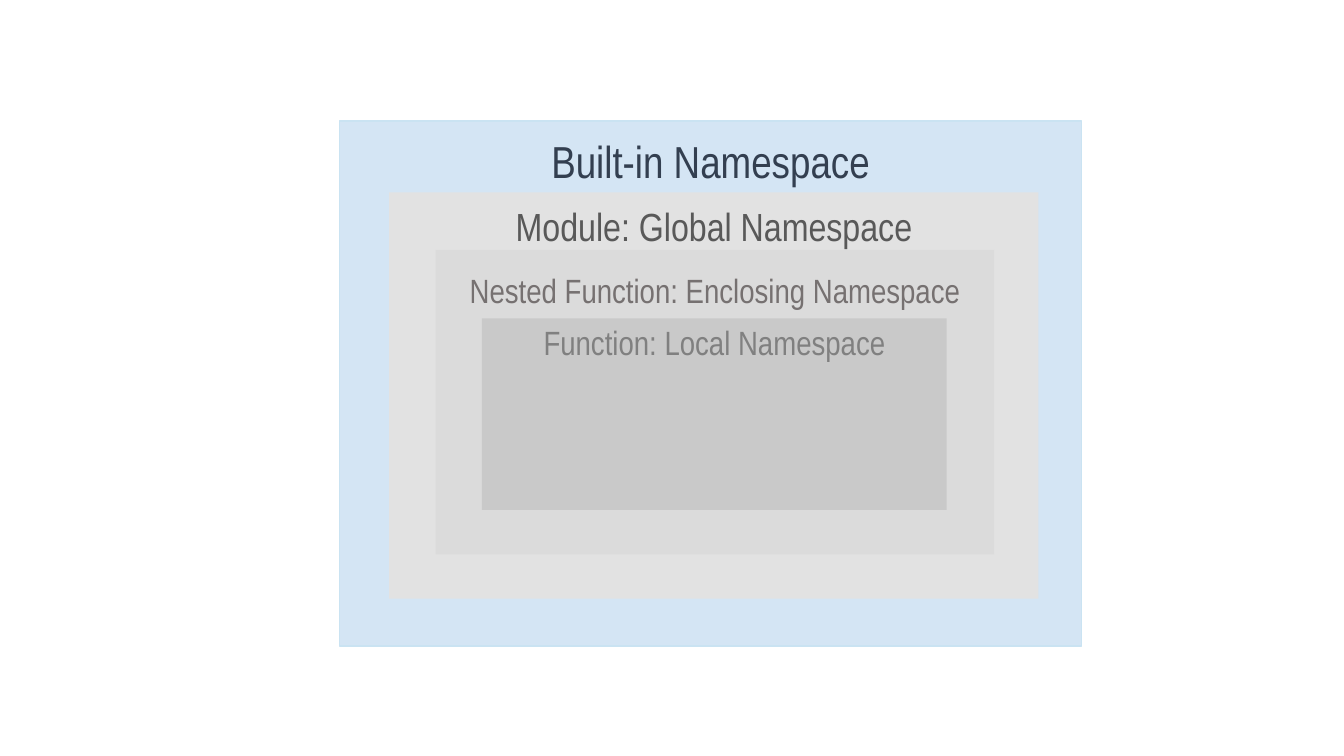
from pptx import Presentation
from pptx.dml.color import RGBColor
from pptx.enum.shapes import MSO_SHAPE
from pptx.enum.text import MSO_ANCHOR, PP_ALIGN
from pptx.util import Inches, Pt

THEME = {
    "font": "Arial Narrow",
    "border": "CAE3F2",
    # scope: (fill, text colour, type size)
    "builtin": ("D4E5F4", "333F50", 32),
    "global": ("E2E2E2", "595959", 28),
    "enclosing": ("DBDBDB", "767171", 24),
    "local": ("C9C9C9", "808080", 24),
}


def add_label(sp, text, size, color, inset):
    """Write a centred label at the top of a box."""
    tf = sp.text_frame
    tf.word_wrap = True
    tf.vertical_anchor = MSO_ANCHOR.TOP
    tf.margin_top = Inches(inset)
    p = tf.paragraphs[0]
    p.alignment = PP_ALIGN.CENTER
    r = p.add_run()
    r.text = text
    r.font.name = THEME["font"]
    r.font.size = Pt(size)
    r.font.color.rgb = RGBColor.from_string(color)


prs = Presentation()
prs.slide_width, prs.slide_height = Inches(13.33), Inches(7.5)
slide = prs.slides.add_slide(prs.slide_layouts[6])

# Nested scopes, outermost first: scope, label, box, label inset
scopes = [
    ("builtin", "Built-in Namespace", (3.37, 1.2, 7.36, 5.21), 0.13),
    ("global", "Module: Global Namespace", (3.86, 1.91, 6.44, 4.03), 0.1),
    ("enclosing", "Nested Function: Enclosing Namespace", (4.32, 2.48, 5.54, 3.02), 0.2),
    ("local", "Function: Local Namespace", (4.78, 3.16, 4.61, 1.9), 0.03),
]
for scope, label, box, inset in scopes:
    fill, color, size = THEME[scope]
    sp = slide.shapes.add_shape(MSO_SHAPE.RECTANGLE, *[Inches(v) for v in box])
    sp.shadow.inherit = False
    sp.fill.solid()
    sp.fill.fore_color.rgb = RGBColor.from_string(fill)
    # Only the outermost scope has a border
    if scope == "builtin":
        sp.line.color.rgb = RGBColor.from_string(THEME["border"])
        sp.line.width = Pt(1)
    else:
        sp.line.fill.background()
    add_label(sp, label, size=size, color=color, inset=inset)

prs.save("out.pptx")
